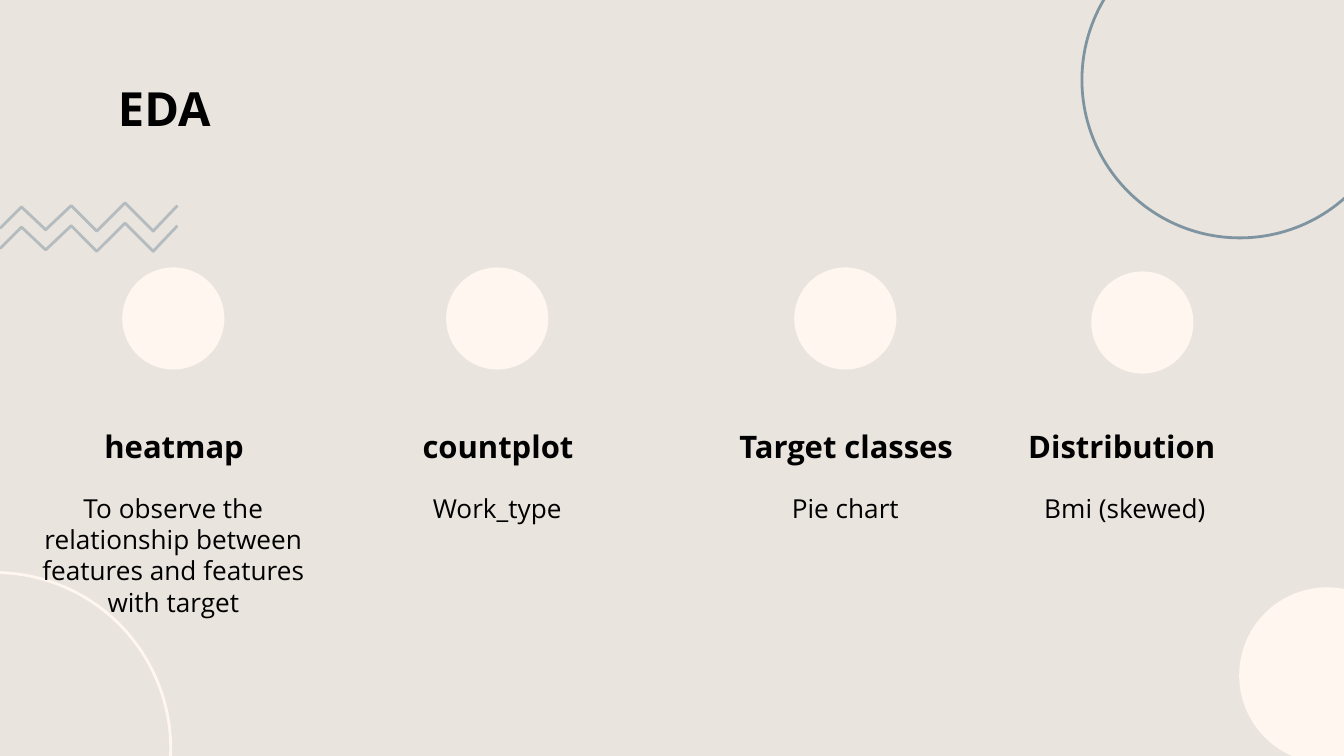
"""Build the EDA overview slide with four labelled columns."""
from pptx import Presentation
from pptx import util as u
from pptx.dml.color import RGBColor
from pptx.enum import shapes, text


def style_shape(shape, fill=None, line=None):
    shape.shadow.inherit = False
    if fill:
        shape.fill.solid()
        shape.fill.fore_color.rgb = RGBColor.from_string(fill)
    else:
        shape.fill.background()
    if line:
        shape.line.color.rgb = RGBColor.from_string(line)
        shape.line.width = u.Pt(1.5)
    else:
        shape.line.fill.background()


def add_text(box, content, size, bold=False, align="CENTER", spacing=1.0, anchor="TOP"):
    textbox = slide.shapes.add_textbox(*[u.Inches(value) for value in box])
    frame = textbox.text_frame
    frame.text = content
    frame.word_wrap = True
    frame.vertical_anchor = text.MSO_ANCHOR[anchor]
    frame.margin_left = frame.margin_right = u.Inches(0.1)
    frame.margin_top = frame.margin_bottom = u.Inches(0.1)
    paragraph = frame.paragraphs[0]
    paragraph.alignment = text.PP_ALIGN[align]
    paragraph.line_spacing = spacing
    font = paragraph.runs[0].font
    font.name = "Open Sans"
    font.size = u.Pt(size)
    font.bold = bold
    font.color.rgb = RGBColor.from_string("000000")


BLUE, GRAY, CREAM = "7F94A1", "B4BCBF", "FFF6F0"

presentation = Presentation()
presentation.slide_width = u.Inches(10)
presentation.slide_height = u.Inches(10) * 9 // 16
slide = presentation.slides.add_slide(presentation.slide_layouts[6])
slide.background.fill.solid()
slide.background.fill.fore_color.rgb = RGBColor.from_string("E9E4DD")

zigzag = [(0, 1.7), (0.16, 1.54), (0.34, 1.71), (0.53, 1.53),
          (0.72, 1.72), (0.93, 1.51), (1.14, 1.72), (1.32, 1.53)]
for offset in (0, 0.15):
    points = [(u.Inches(x), u.Inches(y + offset)) for x, y in zigzag]
    builder = slide.shapes.build_freeform(*points[0])
    builder.add_line_segments(points[1:], close=False)
    style_shape(builder.convert_to_shape(), line=GRAY)

columns = [
    (0, 0.91, 1.99, "heatmap",
     "To observe the relationship between features and features with target"),
    (2.41, 3.32, 1.99, "countplot", "Work_type"),
    (5, 5.91, 1.99, "Target classes", "Pie chart"),
    (7.08, 8.12, 2.02, "Distribution ", "Bmi (skewed)"),
]
circles = [
    (8.05, -0.58, 2.35, None, BLUE),
    (-1.35, 4.26, 2.62, None, CREAM),
    (9.22, 4.37, 1.31, CREAM, None),
]
circles += [(left, top, 0.76, CREAM, None) for _, left, top, _, _ in columns]
for left, top, diameter, fill, line in circles:
    circle = slide.shapes.add_shape(
        shapes.MSO_SHAPE.OVAL, u.Inches(left), u.Inches(top),
        u.Inches(diameter), u.Inches(diameter))
    style_shape(circle, fill, line)

add_text((0.78, 0.49, 8.44, 0.63), "EDA", 25.2, bold=True, align="LEFT", anchor="MIDDLE")
for left, _, _, heading, description in columns:
    add_text((left, 3.11, 2.59, 0.63), heading, 16.6, bold=True, spacing=0.9)
    add_text((left, 3.56, 2.58, 1.31), description, 14)

presentation.save("out.pptx")
